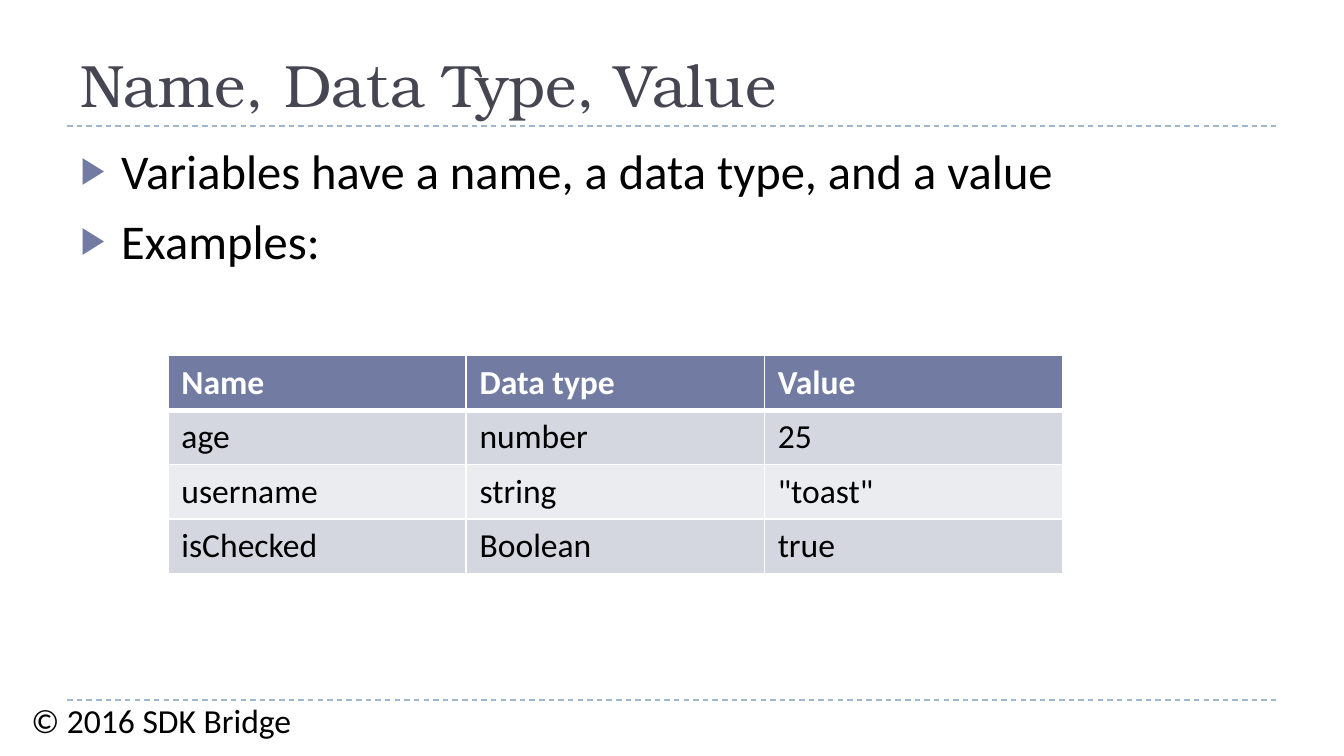
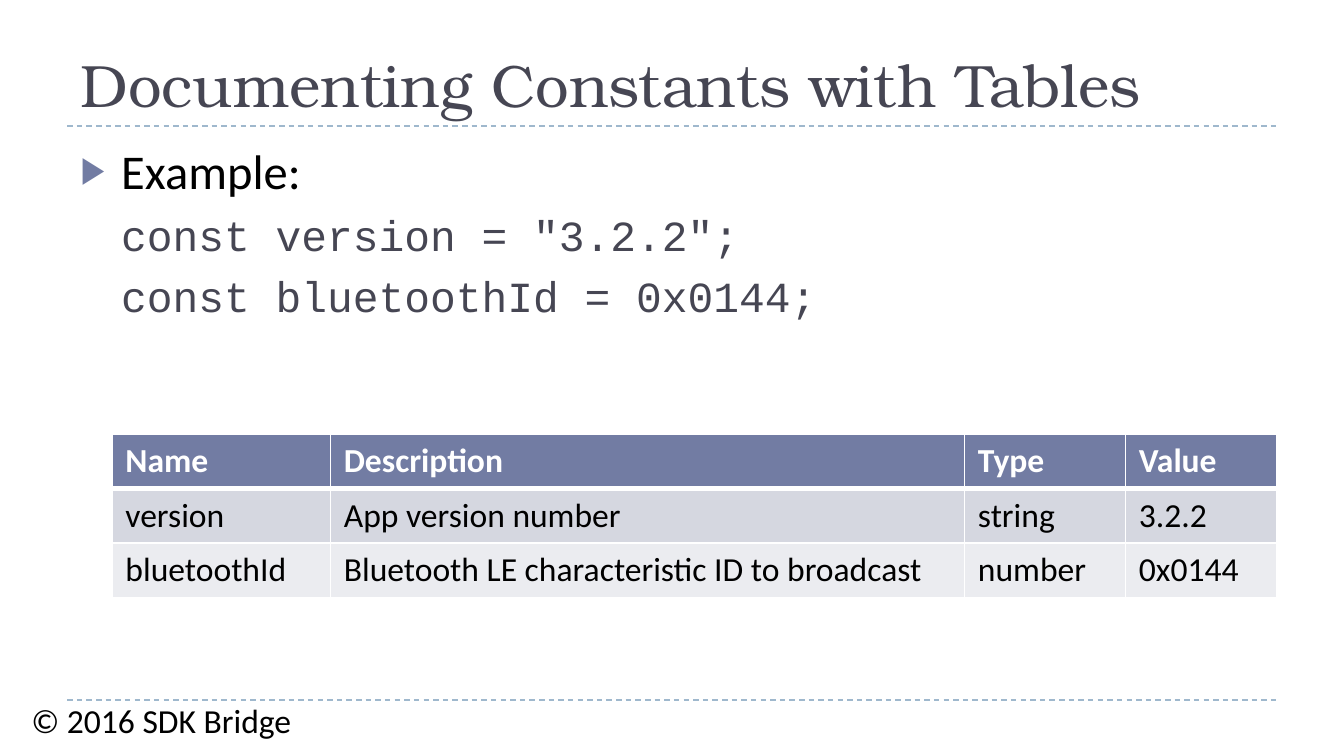
from dataclasses import dataclass

from lxml import etree
from pptx import Presentation
from pptx.dml.color import RGBColor
from pptx.enum.dml import MSO_LINE
from pptx.enum.shapes import MSO_CONNECTOR
from pptx.enum.text import MSO_ANCHOR, MSO_AUTO_SIZE, PP_ALIGN
from pptx.oxml.ns import qn
from pptx.util import Emu, Pt

STRAIGHT = MSO_CONNECTOR.STRAIGHT
DASH = MSO_LINE.DASH
BOTTOM, TOP = MSO_ANCHOR.BOTTOM, MSO_ANCHOR.TOP
NO_FIT = MSO_AUTO_SIZE.NONE
LEFT = PP_ALIGN.LEFT

EMU_PER_PX = 9525
TITLE_AND_CONTENT = 1
MARGIN, CONTENT_WIDTH = 48, 864
RULE_TOPS = (90, 500)
BULLET_INDENT = 29
ROW_HEIGHT = 39


@dataclass(frozen=True)
class Theme:
    serif: str = "TeX Gyre Bonum"
    sans: str = "Calibri"
    mono: str = "Courier New"
    black: str = "000000"
    white: str = "FFFFFF"
    slate: str = "464653"
    accent: str = "727CA3"
    rule: str = "9FB8CD"
    bands: tuple = ("D5D7E0", "EBECF0")
    title_size: int = 32
    bullet_size: int = 26
    code_size: int = 23
    small_size: int = 18


THEME = Theme()


def px(length):
    return Emu(length * EMU_PER_PX)


def place(shape, left, top, width, height):
    shape.left, shape.top = px(left), px(top)
    shape.width, shape.height = px(width), px(height)


def style(paragraph, face, size, color, bold=False):
    font = paragraph.font
    font.name, font.size, font.bold = face, Pt(size), bold
    font.color.rgb = RGBColor.from_string(color)


def add_child(parent, tag, **attributes):
    return etree.SubElement(parent, qn(tag), attributes)


def add_rule(slide, top):
    rule = slide.shapes.add_connector(
        STRAIGHT, px(MARGIN), px(top), px(MARGIN + CONTENT_WIDTH), px(top))
    rule.line.color.rgb = RGBColor.from_string(THEME.rule)
    rule.line.width = Pt(0.75)
    rule.line.dash_style = DASH
    add_child(rule._element.spPr, "a:effectLst")


def add_copyright(slide):
    notice = slide.shapes.add_textbox(px(13), px(495), px(214), px(45))
    notice.text_frame.word_wrap = False
    paragraph = notice.text_frame.paragraphs[0]
    paragraph.text = "© 2016 SDK Bridge"
    style(paragraph, THEME.sans, THEME.small_size, THEME.black)


def set_title(slide, text):
    title = slide.shapes.title
    place(title, MARGIN, 12, CONTENT_WIDTH, 78)
    frame = title.text_frame
    frame.text = text
    frame.vertical_anchor, frame.auto_size = BOTTOM, NO_FIT
    paragraph = frame.paragraphs[0]
    paragraph.alignment = LEFT
    style(paragraph, THEME.serif, THEME.title_size, THEME.slate)


def format_bullet(paragraph):
    paragraph.space_before = Pt(6)
    properties = paragraph._p.get_or_add_pPr()
    properties.set("marL", str(px(BULLET_INDENT)))
    properties.set("indent", str(px(-BULLET_INDENT)))
    color = add_child(properties, "a:buClr")
    add_child(color, "a:srgbClr", val=THEME.accent)
    add_child(properties, "a:buSzPct", val="76000")
    add_child(properties, "a:buFont", typeface=THEME.sans)
    add_child(properties, "a:buChar", char="▶")
    style(paragraph, THEME.sans, THEME.bullet_size, THEME.black)


def format_code(paragraph):
    paragraph.level = 1
    paragraph.space_before = Pt(5)
    properties = paragraph._p.get_or_add_pPr()
    properties.set("marL", str(px(BULLET_INDENT)))
    properties.set("indent", "0")
    add_child(properties, "a:buNone")
    style(paragraph, THEME.mono, THEME.code_size, THEME.slate)


def set_body(slide, height, bullets, code=()):
    body = slide.placeholders[1]
    place(body, MARGIN, 96, CONTENT_WIDTH, height)
    frame = body.text_frame
    frame.text = "\n".join((*bullets, *code))
    frame.vertical_anchor, frame.auto_size = TOP, NO_FIT
    for index, paragraph in enumerate(frame.paragraphs):
        if index < len(bullets):
            format_bullet(paragraph)
        else:
            format_code(paragraph)
    frame.paragraphs[0].space_before = Pt(0)


def add_borders(cell, is_header):
    """Draw white cell edges, with a heavier one under the header."""
    edges = {"a:lnL": 1, "a:lnR": 1}
    if is_header:
        edges["a:lnT"] = 1
    edges["a:lnB"] = 3 if is_header else 1
    properties = cell._tc.get_or_add_tcPr()
    for tag, points in edges.items():
        edge = add_child(properties, tag, w=str(Pt(points)))
        fill = add_child(edge, "a:solidFill")
        add_child(fill, "a:srgbClr", val=THEME.white)


def add_data_table(slide, left, top, widths, rows):
    table = slide.shapes.add_table(
        len(rows), len(widths), px(left), px(top),
        px(sum(widths)), px(ROW_HEIGHT * len(rows))).table
    for column, width in zip(table.columns, widths):
        column.width = px(width)
    for r, values in enumerate(rows):
        is_header = r == 0
        fill = THEME.accent if is_header else THEME.bands[(r - 1) % 2]
        color = THEME.white if is_header else THEME.black
        for c, value in enumerate(values):
            cell = table.cell(r, c)
            cell.text = value
            add_borders(cell, is_header)
            cell.fill.solid()
            cell.fill.fore_color.rgb = RGBColor.from_string(fill)
            style(cell.text_frame.paragraphs[0], THEME.sans,
                  THEME.small_size, color, is_header)


def add_lesson_slide(deck, title):
    slide = deck.slides.add_slide(deck.slide_layouts[TITLE_AND_CONTENT])
    for top in RULE_TOPS:
        add_rule(slide, top)
    add_copyright(slide)
    set_title(slide, title)
    return slide


def main():
    deck = Presentation()
    deck.slide_width, deck.slide_height = px(960), px(540)

    variables = add_lesson_slide(deck, "Name, Data Type, Value")
    set_body(variables, 389, [
        "Variables have a name, a data type, and a value",
        "Examples:",
    ])
    add_data_table(variables, 120, 254, [213] * 3, [
        ("Name", "Data type", "Value"),
        ("age", "number", "25"),
        ("username", "string", '"toast"'),
        ("isChecked", "Boolean", "true"),
    ])

    constants = add_lesson_slide(deck, "Documenting Constants with Tables")
    set_body(constants, 398, ["Example:"], [
        'const version = "3.2.2";',
        "const bluetoothId = 0x0144;",
    ])
    add_data_table(constants, 80, 310, [156, 453, 115, 108], [
        ("Name", "Description", "Type", "Value"),
        ("version", "App version number", "string", "3.2.2"),
        ("bluetoothId", "Bluetooth LE characteristic ID to broadcast",
         "number", "0x0144"),
    ])

    deck.save("out.pptx")


if __name__ == "__main__":
    main()
